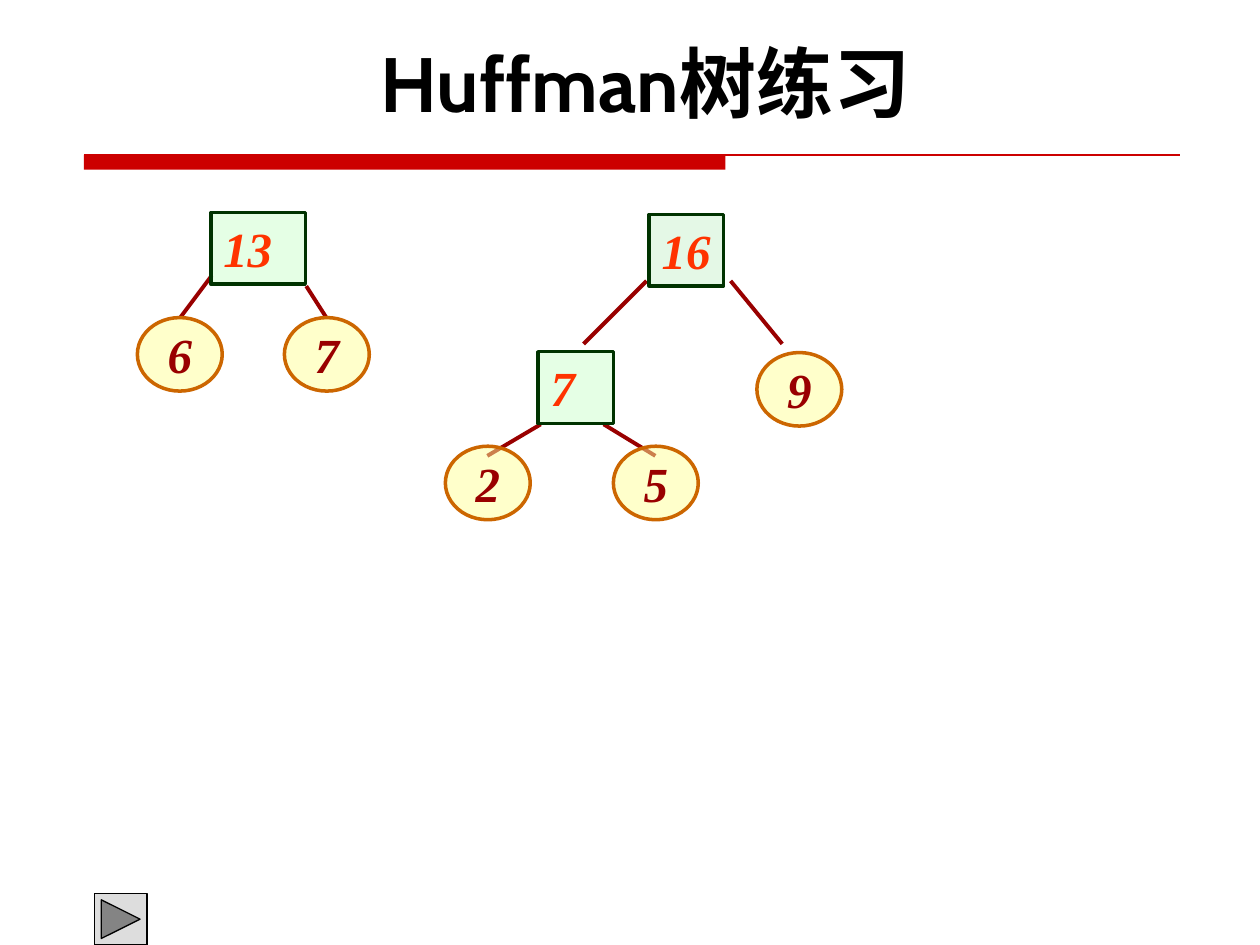
from lxml import etree
from pptx import Presentation
from pptx.dml.color import RGBColor
from pptx.enum.shapes import MSO_CONNECTOR, MSO_SHAPE
from pptx.enum.text import MSO_ANCHOR, PP_ALIGN
from pptx.oxml.ns import qn
from pptx.util import Pt

OVAL, RECT = MSO_SHAPE.OVAL, MSO_SHAPE.RECTANGLE
NEXT = MSO_SHAPE.ACTION_BUTTON_FORWARD_OR_NEXT
LINE = MSO_CONNECTOR.STRAIGHT
TOP, MIDDLE = MSO_ANCHOR.TOP, MSO_ANCHOR.MIDDLE
LEFT, CENTER = PP_ALIGN.LEFT, PP_ALIGN.CENTER

THEME = {
    "rule": "CC0000", "edge": "990000", "ink": "000000", "button": "DDDDDD",
    "leaf": "FFFF99", "rim": "CC6600", "count": "990000",
    "box": "CCFFCC", "root": "CAF2CE", "frame": "003300", "sum": "FF3300",
    "title font": "Cabin", "node font": "Times New Roman",
    "title size": 44, "node size": 28,
}


def color(name):
    return RGBColor.from_string(THEME[name])


def paint(shape, fill, line, width, alpha=None):
    shape.shadow.inherit = False
    shape.fill.solid()
    shape.fill.fore_color.rgb = color(fill)
    shape.line.color.rgb = color(line)
    shape.line.width = Pt(width)
    if alpha:
        tint = shape.fill._xPr.find(qn("a:solidFill"))[0]
        etree.SubElement(tint, qn("a:alpha"), val=str(alpha * 1000))


deck = Presentation()
deck.slide_width, deck.slide_height = Pt(720), Pt(540)
slide = deck.slides.add_slide(deck.slide_layouts[6])
shapes = slide.shapes

# Title
title = shapes.add_textbox(Pt(36), Pt(16.5), Pt(666), Pt(60.5))
title.text_frame.word_wrap = True
para = title.text_frame.paragraphs[0]
para.alignment = CENTER
run = para.add_run()
run.text = "Huffman树练习"
run.font.name = THEME["title font"]
run.font.size = Pt(THEME["title size"])
run.font.bold = True
run.font.color.rgb = color("ink")

# Red bar below the title
bar = shapes.add_shape(RECT, Pt(48), Pt(88.5), Pt(366.5), Pt(8.5))
paint(bar, "rule", "rule", 0.75)
bar.line.fill.background()

# Thin rule and tree edges: from x, from y, to x, to y, colour, width
lines = [(48, 88.5, 674.5, 88.5, "rule", 0.75)]
lines += [(*ends, "edge", 2.25) for ends in (
    (121, 157.5, 103, 181.5), (175, 163.5, 186.5, 181.5),
    (369.5, 160.5, 333.5, 196.5), (417.5, 160.5, 447, 196.5),
    (309, 242.5, 278.5, 260.5), (345, 242.5, 374.5, 260.5),
)]
for x1, y1, x2, y2, tone, width in lines:
    edge = shapes.add_connector(LINE, Pt(x1), Pt(y1), Pt(x2), Pt(y2))
    edge.line.color.rgb = color(tone)
    edge.line.width = Pt(width)
    etree.SubElement(edge._element.spPr, qn("a:effectLst"))

# Tree nodes: label, left, top, width, fill, wrap (leaves share one size)
leaves = [("6", 78.5, 181.5), ("7", 162.5, 181.5), ("9", 432.5, 201.5),
          ("2", 254.5, 255), ("5", 350.5, 255)]
boxes = [("13", 120.5, 121.5, 54, "box", True),
         ("16", 371, 122.5, 42.5, "root", False),
         ("7", 307.5, 201, 43, "box", True)]
nodes = [(OVAL, label, x, y, 48.5, 42, "leaf", "rim", "count", False)
         for label, x, y in leaves]
nodes += [(RECT, label, x, y, w, 41, fill, "frame", "sum", wrap)
          for label, x, y, w, fill, wrap in boxes]
for kind, label, x, y, w, h, fill, line, ink, wrap in nodes:
    node = shapes.add_shape(kind, Pt(x), Pt(y), Pt(w), Pt(h))
    paint(node, fill, line, 2, alpha=50)
    frame = node.text_frame
    frame.word_wrap = wrap
    frame.vertical_anchor = MIDDLE if kind == OVAL else TOP
    para = frame.paragraphs[0]
    para.alignment = CENTER if kind == OVAL else LEFT
    run = para.add_run()
    run.text = label
    run.font.name = THEME["node font"]
    run.font.size = Pt(THEME["node size"])
    run.font.bold = run.font.italic = True
    run.font.color.rgb = color(ink)

# Forward button
button = shapes.add_shape(NEXT, Pt(54), Pt(510.5), Pt(30), Pt(29.5))
paint(button, "button", "ink", 0.75)

deck.save("out.pptx")
